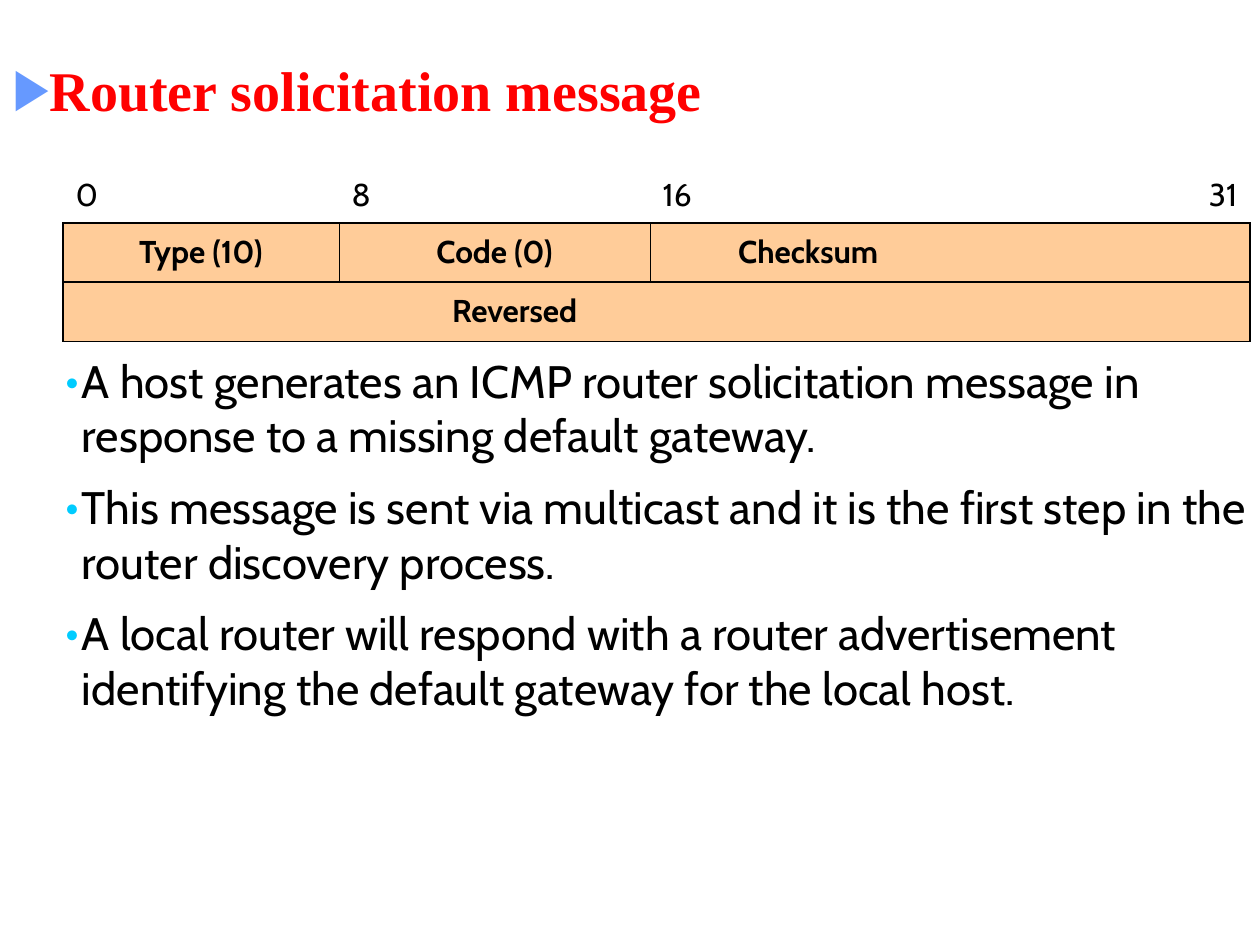
"""Build the router solicitation message slide."""
import dataclasses
import typing

import lxml.etree
import pptx
import pptx.dml.color
import pptx.enum.text
import pptx.oxml.ns
import pptx.util

Inches = pptx.util.Inches
Align = pptx.enum.text.PP_ALIGN
Anchor = pptx.enum.text.MSO_ANCHOR
Fit = pptx.enum.text.MSO_AUTO_SIZE
FONT = "Cabin"
BLACK = "000000"
PEACH = "FFCC99"
THICK = 1.08
THIN = 0.45


@dataclasses.dataclass
class Field:
    text: str
    row: int
    col: int
    edges: tuple[float, float, float, float]
    align: Align = Align.CENTER
    span: int = 1


@dataclasses.dataclass
class Bullet:
    mark: str
    color: str
    font: str
    indent: float = 0


FIELDS = [
    Field("0", 0, 0, (0, 0, 0, THICK), Align.LEFT),
    Field("8", 0, 1, (0, 0, 0, THICK), Align.LEFT),
    Field("16", 0, 2, (0, 0, 0, THICK), Align.LEFT),
    Field("31", 0, 3, (0, 0, 0, THICK), Align.RIGHT),
    Field("Type (10)", 1, 0, (THICK, THIN, THICK, THICK)),
    Field("Code (0)", 1, 1, (THIN, THIN, THICK, THICK)),
    Field("Checksum", 1, 2, (THIN, 0, THICK, THICK)),
    Field("", 1, 3, (0, THICK, THICK, THICK)),
    Field("Reversed", 2, 0, (THICK, 0, THICK, THICK), span=3),
    Field("", 2, 3, (0, THICK, THICK, THICK)),
]
POINTS = [
    "A host generates an ICMP router solicitation message in response to a missing default gateway.",
    "This message is sent via multicast and it is the first step in the router discovery process.",
    "A local router will respond with a router advertisement identifying the default gateway for the local host.",
]


def tint(code: str) -> pptx.dml.color.RGBColor:
    return pptx.dml.color.RGBColor.from_string(code)


def add_node(parent: typing.Any, tag: str, **attrs: str) -> typing.Any:
    node = lxml.etree.SubElement(parent, pptx.oxml.ns.qn(tag))
    for key, value in attrs.items():
        node.set(key, value)
    return node


def add_run(para: typing.Any, text: str, size: float, font: str = FONT,
            color: str = BLACK, bold: bool = False) -> None:
    run = para.add_run()
    run.text = text
    run.font.size = pptx.util.Pt(size)
    run.font.name = font
    run.font.bold = bold
    run.font.color.rgb = tint(color)


def add_bullet(para: typing.Any, bullet: Bullet) -> None:
    props = para._p.get_or_add_pPr()
    props.set("marL", str(Inches(bullet.indent)))
    props.set("indent", str(Inches(-bullet.indent)))
    add_node(add_node(props, "a:buClr"), "a:srgbClr", val=bullet.color)
    add_node(props, "a:buFont", typeface=bullet.font)
    add_node(props, "a:buChar", char=bullet.mark)


def add_edges(cell: typing.Any, edges: tuple[float, ...]) -> None:
    props = cell._tc.get_or_add_tcPr()
    for side, width in zip("LRTB", edges):
        line = add_node(props, f"a:ln{side}", w=str(pptx.util.Pt(width)))
        if width:
            add_node(add_node(line, "a:solidFill"), "a:srgbClr", val=BLACK)
        else:
            add_node(line, "a:noFill")


def place(shape: typing.Any, left: float, top: float, width: float, height: float) -> None:
    shape.left, shape.top = Inches(left), Inches(top)
    shape.width, shape.height = Inches(width), Inches(height)


def draw_title(shape: typing.Any) -> None:
    place(shape, 0, 0.33, 10, 0.75)
    frame = shape.text_frame
    frame.auto_size = Fit.NONE
    frame.vertical_anchor = Anchor.MIDDLE
    para = frame.paragraphs[0]
    add_bullet(para, Bullet("▶", "6699FF", "Times New Roman"))
    para.alignment = Align.LEFT
    add_run(para, "Router solicitation message", 32, "Times New Roman", "FF0000", True)


def draw_field(table: typing.Any, field: Field) -> None:
    cell = table.cell(field.row, field.col)
    if field.span > 1:
        cell.merge(table.cell(field.row, field.col + field.span - 1))
    for step in range(field.span):
        part = table.cell(field.row, field.col + step)
        add_edges(part, field.edges)
        if field.row:
            part.fill.solid()
            part.fill.fore_color.rgb = tint(PEACH)
        else:
            part.fill.background()
    cell.vertical_anchor = Anchor.MIDDLE
    if field.text:
        para = cell.text_frame.paragraphs[0]
        para.alignment = field.align
        add_run(para, field.text, 18, bold=field.row > 0)


def draw_table(slide: typing.Any) -> None:
    widths, heights = [2.19, 2.47, 2.51, 2.25], [0.44, 0.47, 0.47]
    table = slide.shapes.add_table(
        len(heights), len(widths), Inches(0.5), Inches(1.33),
        Inches(sum(widths)), Inches(sum(heights))).table
    table.first_row = table.horz_banding = False
    for col, width in zip(table.columns, widths):
        col.width = Inches(width)
    for row, height in zip(table.rows, heights):
        row.height = Inches(height)
    for field in FIELDS:
        draw_field(table, field)


def draw_body(shape: typing.Any) -> None:
    place(shape, 0.42, 2.75, 9.75, 2.97)
    frame = shape.text_frame
    frame.auto_size = Fit.SHAPE_TO_FIT_TEXT
    for index, text in enumerate(POINTS):
        para = frame.add_paragraph() if index else frame.paragraphs[0]
        add_bullet(para, Bullet("•", "00CCFF", FONT, 0.13))
        para.space_before = pptx.util.Pt(9.8 if index else 0)
        add_run(para, text, 26)


def main() -> None:
    deck = pptx.Presentation()
    deck.slide_width, deck.slide_height = Inches(10), Inches(7.5)
    slide = deck.slides.add_slide(deck.slide_layouts[1])
    draw_title(slide.shapes.title)
    draw_table(slide)
    draw_body(slide.placeholders[1])
    deck.save("out.pptx")


if __name__ == "__main__":
    main()
